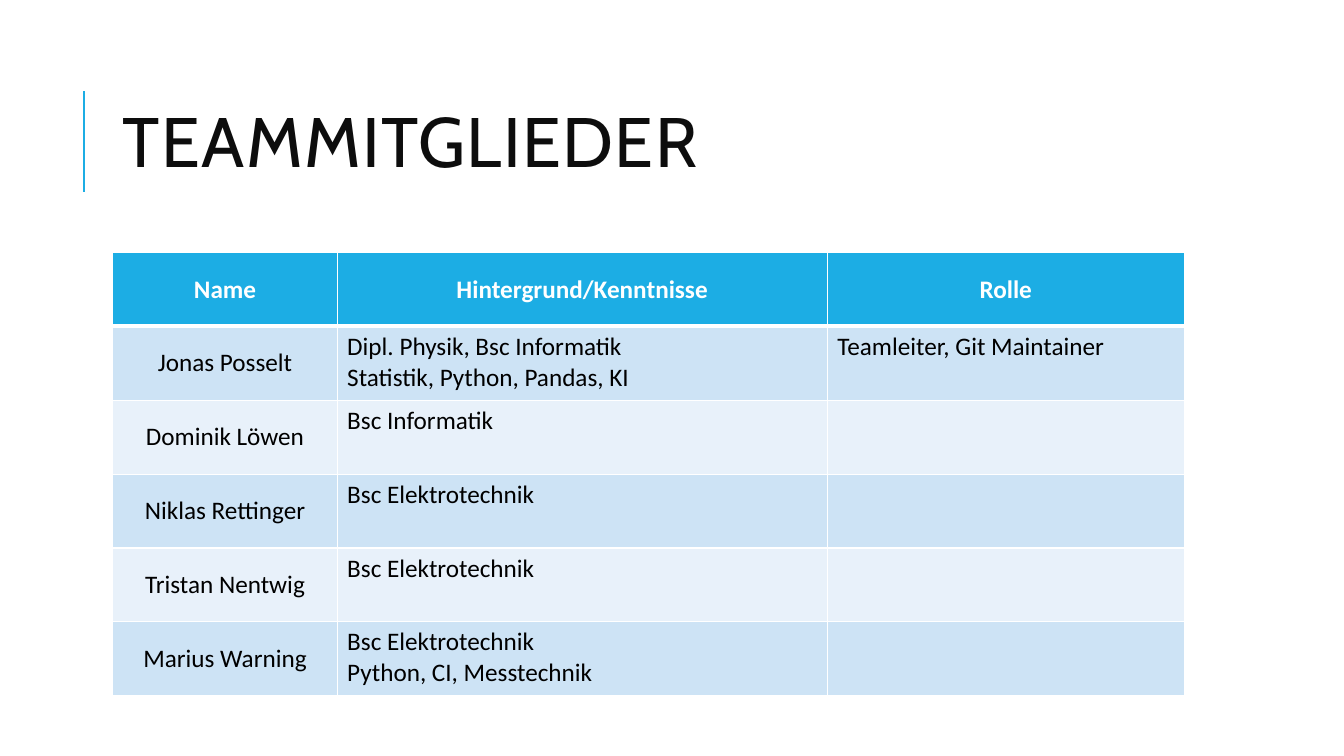
from dataclasses import dataclass

from pptx import Presentation
from pptx import util as u
from pptx.dml.color import RGBColor
from pptx.enum import shapes, text
from pptx.oxml import ns
from pptx.oxml import xmlchemy as xml
from lxml import etree


@dataclass(frozen=True)
class Theme:
    accent: str = "1CADE4"
    band_dark: str = "CDE3F5"
    band_light: str = "E8F1FA"
    white: str = "FFFFFF"
    black: str = "000000"
    title_color: str = "0D0D0D"
    title_font: str = "Cabin"
    body_font: str = "Calibri"
    title_size: float = 50
    body_size: float = 18
    thin: float = 1
    thick: float = 3


@dataclass(frozen=True)
class Member:
    name: str
    skills: str
    role: str = ""


THEME = Theme()
HEADINGS = ("Name", "Hintergrund/Kenntnisse", "Rolle")
MEMBERS = (
    Member("Jonas Posselt", "Dipl. Physik, Bsc Informatik\nStatistik, Python, Pandas, KI",
           "Teamleiter, Git Maintainer"),
    Member("Dominik Löwen", "Bsc Informatik"),
    Member("Niklas Rettinger", "Bsc Elektrotechnik"),
    Member("Tristan Nentwig", "Bsc Elektrotechnik"),
    Member("Marius Warning", "Bsc Elektrotechnik\nPython, CI, Messtechnik"),
)
LEFT, WIDTH = 80.64, 765.36
TABLE_TOP, ROW_HEIGHT = 180.3, 52.8
COLUMN_WIDTHS = (160.2, 350.1, 255.06)


def color(code: str) -> RGBColor:
    return RGBColor.from_string(code)


def style_font(para, name: str, size: float, code: str, bold: bool = False) -> None:
    para.font.name = name
    para.font.size = u.Pt(size)
    para.font.bold = bold
    para.font.color.rgb = color(code)


def add_title(page, wording: str) -> None:
    title = page.shapes.title
    title.left, title.top = u.Pt(LEFT), u.Pt(46.08)
    title.width, title.height = u.Pt(WIDTH), u.Pt(118.08)
    frame = title.text_frame
    frame.text = wording
    frame.word_wrap = True
    frame.auto_size = text.MSO_AUTO_SIZE.NONE
    frame.vertical_anchor = text.MSO_ANCHOR.MIDDLE
    para = frame.paragraphs[0]
    para.alignment = text.PP_ALIGN.LEFT
    para.line_spacing = 0.8
    style_font(para, THEME.title_font, THEME.title_size, THEME.title_color)
    para._p.xpath("./a:pPr/a:defRPr")[0].set("spc", "100")


def add_title_rule(page) -> None:
    rule = page.shapes.add_connector(
        shapes.MSO_CONNECTOR.STRAIGHT, u.Pt(60), u.Pt(136.8), u.Pt(60), u.Pt(64.8))
    rule.line.color.rgb = color(THEME.accent)
    rule.line.width = u.Pt(1.5)
    etree.SubElement(rule._element.spPr, ns.qn("a:effectLst"))


def add_borders(cell, top: float, bottom: float) -> None:
    properties = cell._tc.get_or_add_tcPr()
    widths = {"lnL": THEME.thin, "lnR": THEME.thin, "lnT": top, "lnB": bottom}
    for side, width in widths.items():
        line = etree.SubElement(properties, ns.qn(f"a:{side}"), w=str(int(u.Pt(width))))
        fill = etree.SubElement(line, ns.qn("a:solidFill"))
        etree.SubElement(fill, ns.qn("a:srgbClr"), val=THEME.white)


def fill_cell(cell, wording: str, row: int, column: int) -> None:
    header = row == 0
    centred = header or column == 0
    add_borders(cell,
                THEME.thick if row == 1 else THEME.thin,
                THEME.thick if header else THEME.thin)
    band = THEME.band_dark if row % 2 else THEME.band_light
    cell.fill.solid()
    cell.fill.fore_color.rgb = color(THEME.accent if header else band)
    cell.vertical_anchor = text.MSO_ANCHOR.MIDDLE if centred else text.MSO_ANCHOR.TOP
    cell.text = wording
    for para in cell.text_frame.paragraphs:
        para.alignment = text.PP_ALIGN.CENTER if centred else text.PP_ALIGN.LEFT
        style_font(para, THEME.body_font, THEME.body_size,
                   THEME.white if header else THEME.black, header)


def add_team_table(page) -> None:
    rows = [HEADINGS] + [(member.name, member.skills, member.role) for member in MEMBERS]
    table = page.shapes.add_table(
        len(rows), len(HEADINGS), u.Pt(LEFT), u.Pt(TABLE_TOP),
        u.Pt(WIDTH), u.Pt(ROW_HEIGHT * len(rows))).table
    for column, width in zip(table.columns, COLUMN_WIDTHS):
        column.width = u.Pt(width)
    for row, wordings in enumerate(rows):
        for column, wording in enumerate(wordings):
            fill_cell(table.cell(row, column), wording, row, column)


def main() -> None:
    deck = Presentation()
    deck.slide_width, deck.slide_height = u.Pt(960), u.Pt(540)
    page = deck.slides.add_slide(deck.slide_layouts[5])
    page.background.fill.solid()
    page.background.fill.fore_color.rgb = color(THEME.white)
    add_title_rule(page)
    add_title(page, "TEAMMITGLIEDER")
    add_team_table(page)
    deck.save("out.pptx")


if __name__ == "__main__":
    main()
